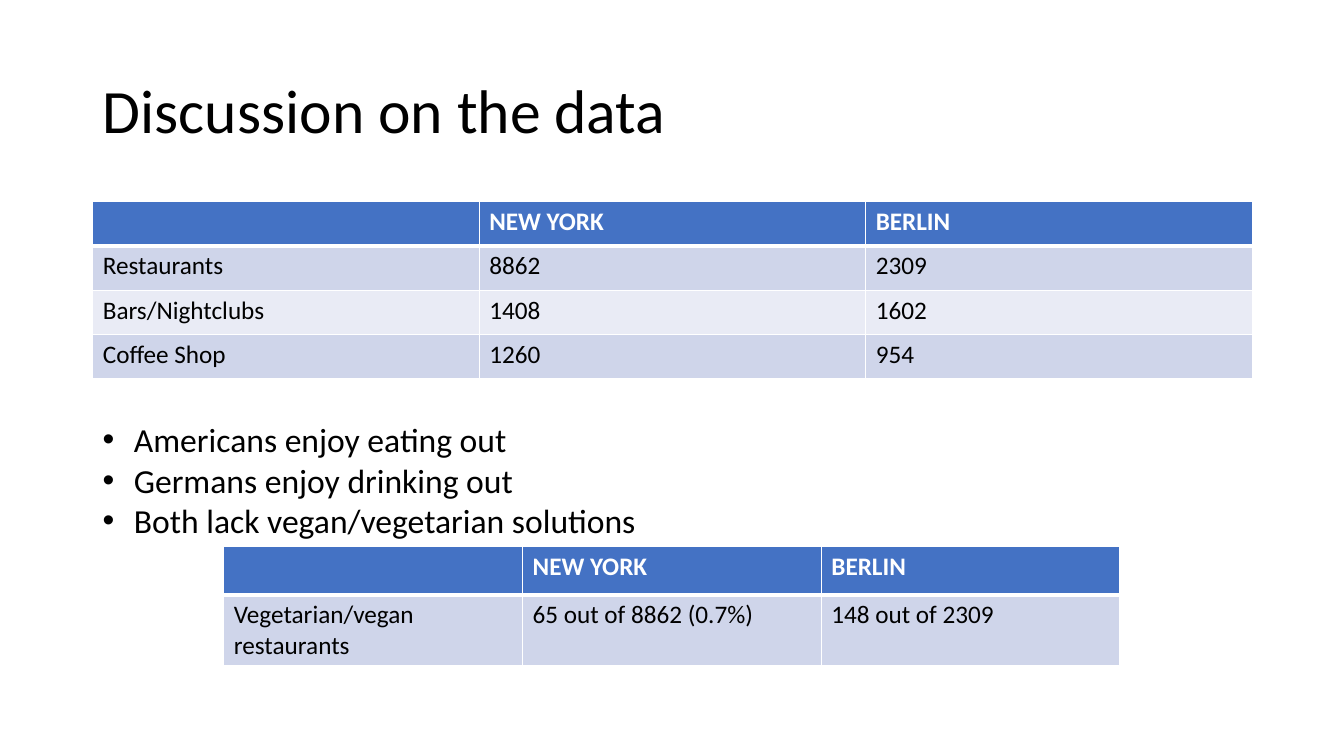
from lxml import etree
from pptx import Presentation
from pptx.dml.color import RGBColor
from pptx.enum.text import MSO_ANCHOR, MSO_AUTO_SIZE, PP_ALIGN
from pptx.oxml.ns import qn
from pptx.util import Inches, Pt

LEFT = PP_ALIGN.LEFT
MIDDLE = MSO_ANCHOR.MIDDLE
GROW = MSO_AUTO_SIZE.SHAPE_TO_FIT_TEXT

BLACK = RGBColor(0x00, 0x00, 0x00)
WHITE = RGBColor(0xFF, 0xFF, 0xFF)
HEADER_BLUE = RGBColor(0x44, 0x72, 0xC4)
BANDS = (RGBColor(0xCF, 0xD5, 0xEA), RGBColor(0xE9, 0xEB, 0xF5))

HEADLINE = "Discussion on the data"
FINDINGS = (
    "Americans enjoy eating out",
    "Germans enjoy drinking out",
    "Both lack vegan/vegetarian solutions",
)
CITIES = ("", "NEW YORK", "BERLIN")
VENUES = {
    "box": (0.92, 2, 11.5),
    "heights": (0.44, 0.44, 0.44, 0.44),
    "rows": (
        CITIES,
        ("Restaurants", "8862", "2309"),
        ("Bars/Nightclubs", "1408", "1602"),
        ("Coffee Shop", "1260", "954"),
    ),
}
VEGAN_SHARE = {
    "box": (2.22, 5.42, 8.89),
    "heights": (0.48, 0.7),
    "rows": (
        CITIES,
        ("Vegetarian/vegan restaurants", "65 out of 8862 (0.7%)", "148 out of 2309"),
    ),
}


def style_font(font, size, color, bold=False):
    for name, value in {"name": "Calibri", "size": Pt(size), "bold": bold}.items():
        setattr(font, name, value)
    font.color.rgb = color


def place(shape, *box):
    for name, value in zip(("left", "top", "width", "height"), box):
        setattr(shape, name, Inches(value))


def add_borders(cell, widths):
    properties = cell._tc.get_or_add_tcPr()
    for position, (side, width) in enumerate(widths.items()):
        line = etree.Element(qn(f"a:ln{side}"), w=str(Pt(width)))
        fill = etree.SubElement(line, qn("a:solidFill"))
        etree.SubElement(fill, qn("a:srgbClr"), val=str(WHITE))
        properties.insert(position, line)


def add_city_table(slide, box, heights, rows):
    left, top, width = box
    table = slide.shapes.add_table(
        len(rows), len(CITIES),
        *map(Inches, (left, top, width, sum(heights))),
    ).table
    for column in table.columns:
        column.width = Inches(width / len(CITIES))
    for index, (height, texts) in enumerate(zip(heights, rows)):
        table.rows[index].height = Inches(height)
        header = index == 0
        background = HEADER_BLUE if header else BANDS[(index - 1) % len(BANDS)]
        widths = {"L": 1, "R": 1, "T": 3 if index == 1 else 1, "B": 3 if header else 1}
        for cell, text in zip(table.rows[index].cells, texts):
            cell.fill.solid()
            cell.fill.fore_color.rgb = background
            add_borders(cell, widths)
            cell.text = text
            style_font(cell.text_frame.paragraphs[0].font, 18,
                       WHITE if header else BLACK, header)


def add_findings(slide):
    findings = slide.shapes.add_textbox(*map(Inches, (0.92, 4.11, 11.5, 1.31)))
    frame = findings.text_frame
    frame.word_wrap = True
    frame.auto_size = GROW
    frame.text = "\n".join(FINDINGS)
    indent = Inches(0.31)
    for paragraph in frame.paragraphs:
        style_font(paragraph.font, 24, BLACK)
        properties = paragraph._p.get_or_add_pPr()
        properties.set("marL", str(indent))
        properties.set("indent", str(-indent))
        bullet_font = etree.Element(qn("a:buFont"), typeface="Arial")
        bullet = etree.Element(qn("a:buChar"), char="•")
        properties.insert(0, bullet_font)
        properties.insert(1, bullet)


def main():
    """Build the slide comparing venues in two cities."""
    deck = Presentation()
    deck.slide_width, deck.slide_height = Inches(13.33), Inches(7.5)
    slide = deck.slides.add_slide(deck.slide_layouts[5])

    headline = slide.shapes.title
    place(headline, 0.92, 0.4, 11.5, 1.45)
    headline.text_frame.text = HEADLINE
    headline.text_frame.vertical_anchor = MIDDLE
    paragraph = headline.text_frame.paragraphs[0]
    paragraph.alignment = LEFT
    paragraph.line_spacing = 0.9
    style_font(paragraph.font, 44, BLACK)

    add_city_table(slide, **VENUES)
    add_findings(slide)
    add_city_table(slide, **VEGAN_SHARE)
    deck.save("out.pptx")


if __name__ == "__main__":
    main()
